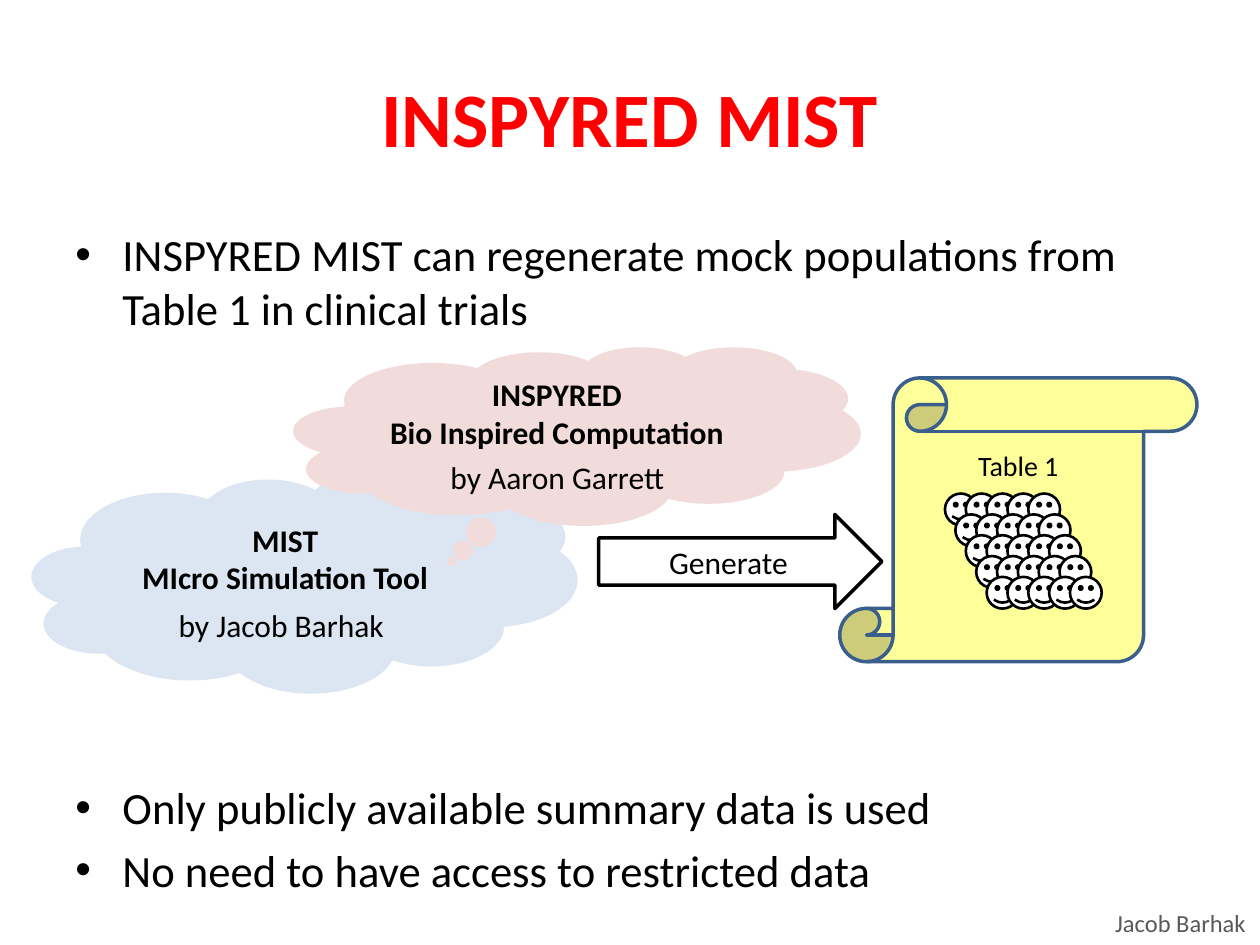
from pptx import Presentation
from pptx import util as u
from pptx.dml import color
from pptx.enum import shapes, text
from lxml import etree

COLORS = {"title": "FF0000", "ink": "000000", "footer": "595959", "paper": "FFFFFF",
          "mist": "DCE6F2", "inspyred": "F2DCDB", "scroll": "FFFF99", "scroll_line": "3A5F8C"}
CENTER = text.PP_ALIGN.CENTER
MIDDLE = text.MSO_ANCHOR.MIDDLE

presentation = Presentation()
presentation.slide_width, presentation.slide_height = u.Cm(25.4), u.Cm(19.05)
slide = presentation.slides.add_slide(presentation.slide_layouts[6])


def write_text(shape, lines, size, ink="ink", bold=False, align=text.PP_ALIGN.LEFT, frame=None):
    for name, value in {"word_wrap": True, **(frame or {})}.items():
        setattr(shape.text_frame, name, value)
    shape.text_frame.text = "\n".join(lines)
    for paragraph in shape.text_frame.paragraphs:
        paragraph.alignment = align
        for name, value in {"name": "Calibri", "size": u.Pt(size), "bold": bold}.items():
            setattr(paragraph.font, name, value)
        paragraph.font.color.rgb = color.RGBColor.from_string(COLORS[ink])
    return shape.text_frame.paragraphs


def draw_shape(kind, box, fill, line=None, width=0, adjustments=()):
    shape = slide.shapes.add_shape(kind, *map(u.Cm, box))
    shape.shadow.inherit = False
    shape.fill.solid()
    shape.fill.fore_color.rgb = color.RGBColor.from_string(COLORS[fill])
    if line:
        shape.line.color.rgb = color.RGBColor.from_string(COLORS[line])
        shape.line.width = u.Pt(width)
    else:
        shape.line.fill.background()
    for index, value in enumerate(adjustments):
        shape.adjustments[index] = value
    return shape


footer = slide.shapes.add_textbox(*map(u.Cm, (22.23, 18.19, 3.17, 0.86)))
write_text(footer, ["Jacob Barhak"], 14, "footer", frame={"word_wrap": False})

title = slide.shapes.add_textbox(*map(u.Cm, (1.27, 0.76, 22.86, 3.18)))
write_text(title, ["INSPYRED MIST"], 44, "title", True, CENTER, {"vertical_anchor": MIDDLE})

body = slide.shapes.add_textbox(*map(u.Cm, (1.27, 4.45, 22.86, 12.57)))
bullets = write_text(body, [
    "INSPYRED MIST can regenerate mock populations from Table 1 in clinical trials",
    "Only publicly available summary data is used",
    "No need to have access to restricted data",
], 25.5)
for paragraph, space in zip(bullets, (0, 255, 5)):
    paragraph.space_before = u.Pt(space)
    properties = paragraph._p.get_or_add_pPr()
    properties.set("marL", str(u.Cm(0.95)))
    properties.set("indent", str(u.Cm(-0.95)))
    tag = properties.tag.replace("pPr", "")
    bullet_font = etree.Element(tag + "buFont", typeface="Arial")
    bullet = etree.Element(tag + "buChar", char="•")
    spacing = properties.find(tag + "spcBef")
    spacing.addnext(bullet_font)
    bullet_font.addnext(bullet)

clouds = [
    ((0.64, 9.53, 11, 4.44), "mist", (0.018, -0.008), ["MIST", "MIcro Simulation Tool"]),
    ((5.92, 6.99, 11.43, 3.6), "inspyred", (-0.221, 0.704),
     ["INSPYRED", "Bio Inspired Computation"]),
]
for box, fill, tail, lines in clouds:
    cloud = draw_shape(shapes.MSO_SHAPE.CLOUD_CALLOUT, box, fill, adjustments=tail)
    write_text(cloud, lines, 18, bold=True, align=CENTER,
               frame={"vertical_anchor": MIDDLE, "margin_bottom": u.Cm(0.9)})

scroll = draw_shape(shapes.MSO_SHAPE.VERTICAL_SCROLL, (16.93, 7.62, 7.2, 5.72),
                    "scroll", "scroll_line", 2, (0.188,))
write_text(scroll, ["Table 1"], 16, align=CENTER,
           frame={"vertical_anchor": MIDDLE, "margin_bottom": u.Cm(2.88)})

FACE_STEP = 0.42
for row in range(5):
    for column in range(5):
        left = 19.05 + FACE_STEP * (column + row / 2)
        top = 9.95 + FACE_STEP * row
        draw_shape(shapes.MSO_SHAPE.SMILEY_FACE, (left, top, 0.64, 0.64), "paper", "ink", 1.5)

arrow = draw_shape(shapes.MSO_SHAPE.RIGHT_ARROW, (12.07, 10.37, 5.71, 1.9), "paper", "ink", 2)
write_text(arrow, ["Generate"], 18, align=CENTER, frame={"vertical_anchor": MIDDLE})

for author, box in {"by Aaron Garrett": (8.83, 9.1, 4.89, 1.02),
                    "by Jacob Barhak": (3.35, 12.09, 4.7, 1.02)}.items():
    credit = slide.shapes.add_textbox(*map(u.Cm, box))
    write_text(credit, [author], 18, frame={"word_wrap": False})

presentation.save("out.pptx")
